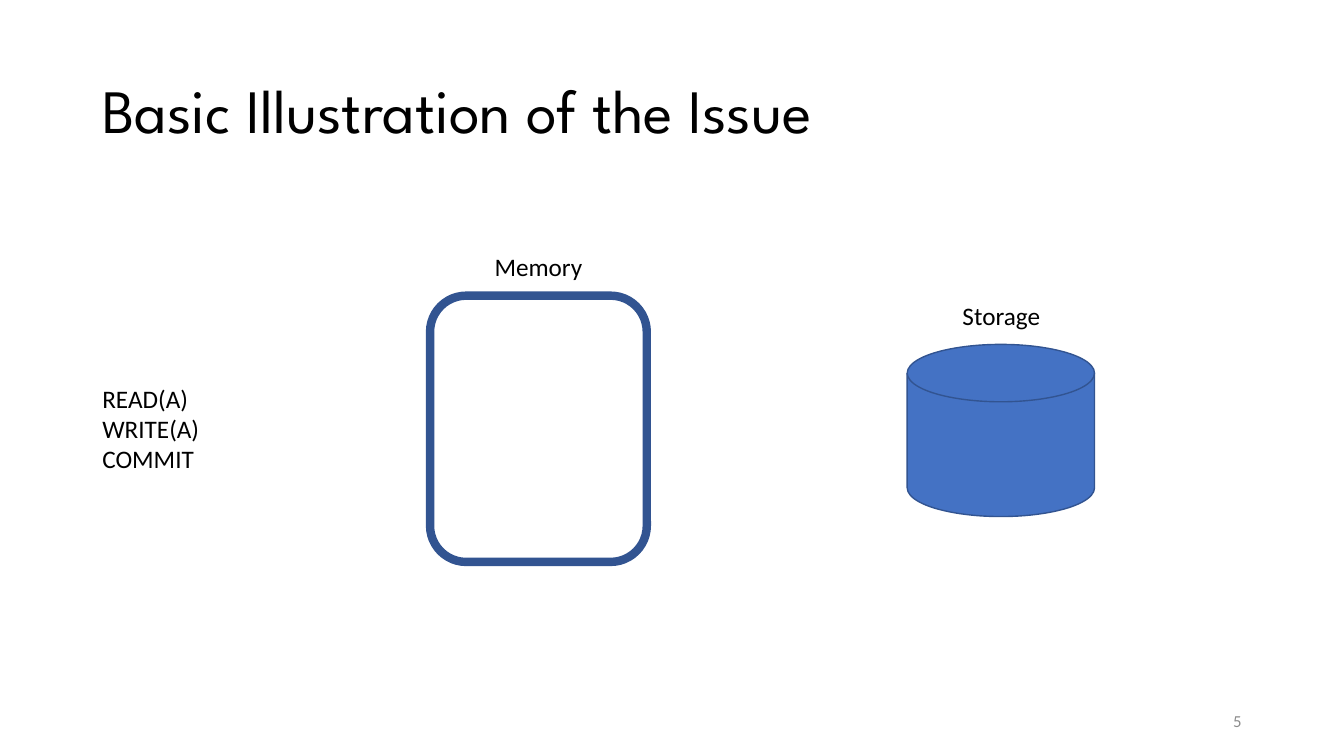
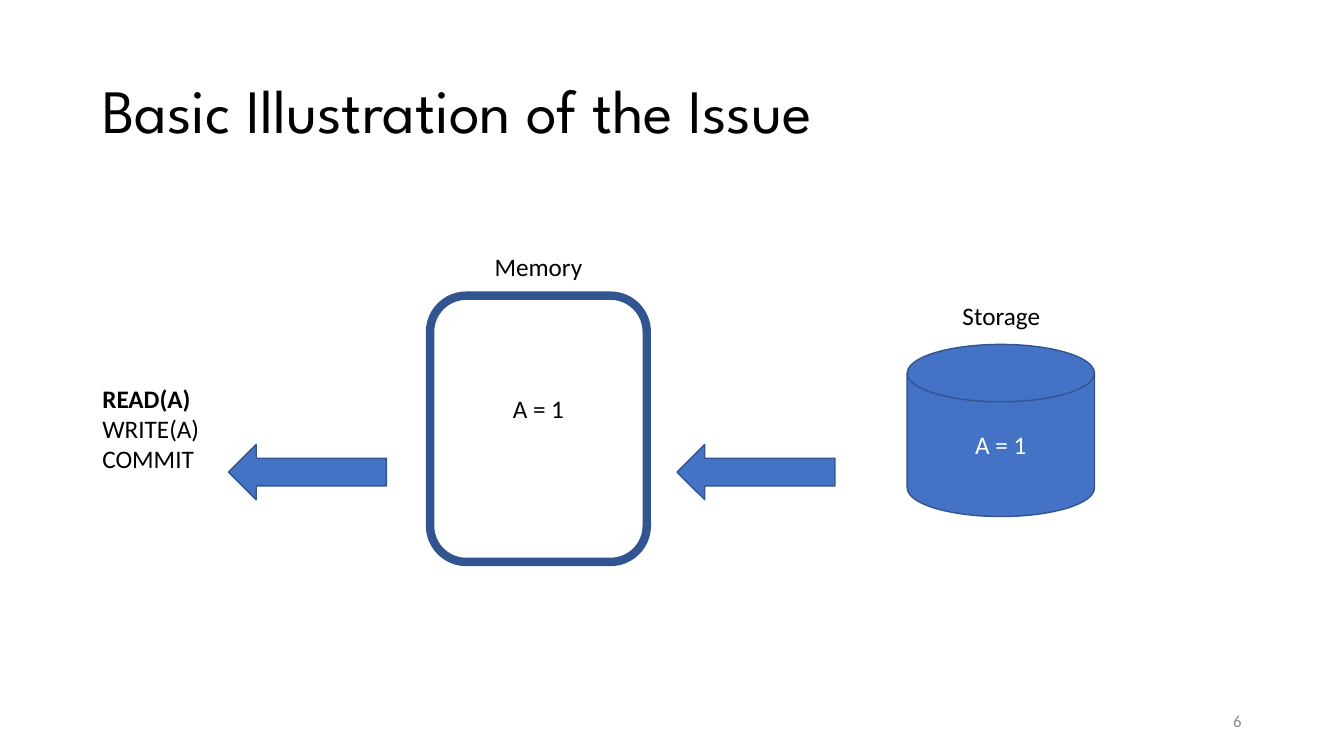
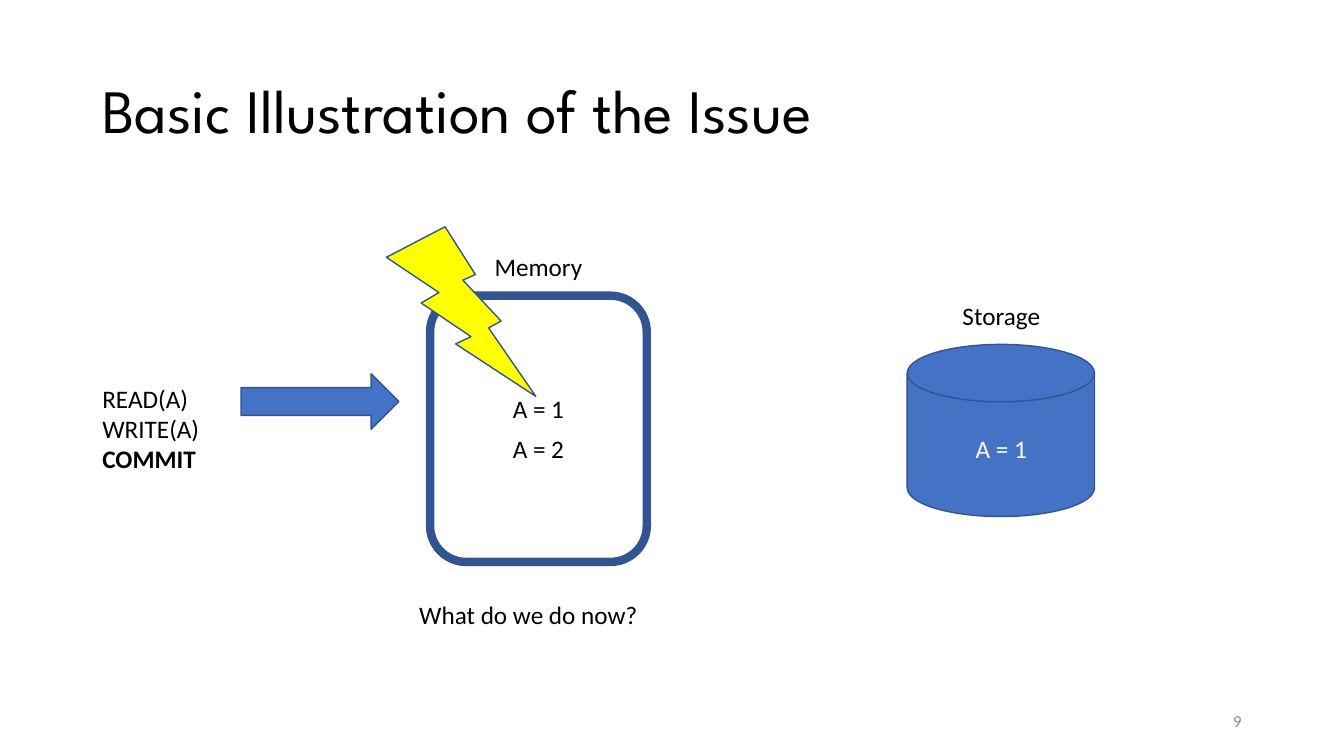
from dataclasses import dataclass
from pptx import Presentation
from pptx.dml.color import RGBColor as Rgb
from pptx.enum.shapes import MSO_SHAPE as Kind
from pptx.enum.text import MSO_ANCHOR as Anchor, MSO_AUTO_SIZE as Fit, PP_ALIGN as Align
from pptx.util import Inches, Pt


@dataclass(frozen=True)
class Theme:
    black: str = "000000"
    white: str = "FFFFFF"
    grey: str = "8C8C8C"
    blue: str = "4472C4"
    navy: str = "325491"
    yellow: str = "FFFF00"
    head: str = "League Spartan"
    body: str = "Calibri"
    big: int = 44
    mid: int = 18
    small: int = 12
    thin: int = 1
    thick: int = 6


class Deck:
    cols, rows = 16, 9

    def __init__(self, theme):
        self.theme = theme
        self.show = Presentation()
        self.show.slide_width = Inches(13.33)
        self.show.slide_height = Inches(7.5)
        self.slide = None

    def place(self, left, top, wide, high):
        col = self.show.slide_width / self.cols
        row = self.show.slide_height / self.rows
        return [round(n) for n in (left * col, top * row, wide * col, high * row)]

    def fill_in(self, frame, lines, size, tint, face=None, align=Align.LEFT, bold=None):
        for at, line in enumerate(lines):
            para = frame.paragraphs[0] if at == 0 else frame.add_paragraph()
            para.alignment = align
            run = para.add_run()
            run.text = line
            run.font.size = Pt(size)
            run.font.name = face or self.theme.body
            run.font.bold = line == bold
            run.font.color.rgb = Rgb.from_string(tint)

    def box(self, spot, wrap):
        frame = self.slide.shapes.add_textbox(*self.place(*spot)).text_frame
        frame.word_wrap = wrap
        if wrap:
            frame.vertical_anchor = Anchor.MIDDLE
        else:
            frame.auto_size = Fit.SHAPE_TO_FIT_TEXT
        return frame

    def page(self, title, number):
        look = self.theme
        self.slide = self.show.slides.add_slide(self.show.slide_layouts[6])
        head = self.box((1.1, 0.48, 13.8, 1.74), True)
        self.fill_in(head, [title], look.big, look.black, look.head)
        head.paragraphs[0].line_spacing = 0.9
        foot = self.box((11.3, 8.34, 3.6, 0.48), True)
        self.fill_in(foot, [str(number)], look.small, look.grey, align=Align.RIGHT)

    def list(self, spot, lines, bold=None):
        look = self.theme
        self.fill_in(self.box(spot, False), lines, look.mid, look.black, bold=bold)

    def label(self, text, mid, top, wide, tint=None):
        look = self.theme
        frame = self.box((mid - wide / 2, top, wide, 0.48), False)
        self.fill_in(frame, [text], look.mid, tint or look.black, align=Align.CENTER)

    def shape(self, kind, spot, fill=None, line=None, text=None, turn=0):
        look = self.theme
        item = self.slide.shapes.add_shape(kind, *self.place(*spot))
        item.shadow.inherit = False
        item.rotation = turn
        if fill:
            item.fill.solid()
            item.fill.fore_color.rgb = Rgb.from_string(fill)
        else:
            item.fill.background()
        item.line.color.rgb = Rgb.from_string(look.navy)
        item.line.width = Pt(line or look.thin)
        if text:
            self.fill_in(item.text_frame, [text], look.mid, look.white, align=Align.CENTER)

    def arrow(self, left, top, turn=0):
        self.shape(Kind.RIGHT_ARROW, (left, top, 1.88, 0.66), self.theme.blue, turn=turn)

    def scene(self, number, bold=None, value=None):
        look = self.theme
        self.page("Basic Illustration of the Issue", number)
        self.list((1.1, 4.5, 1.4, 1.21), ["READ(A)", "WRITE(A)", "COMMIT"], bold)
        self.shape(Kind.ROUNDED_RECTANGLE, (5.12, 3.52, 2.58, 3.17), line=look.thick)
        self.label("Memory", MEM, 2.93, 1.3)
        self.shape(Kind.FLOWCHART_MAGNETIC_DISK, (10.8, 4.1, 2.23, 2.05), look.blue, text=value)
        self.label("Storage", DISK, 3.52, 1.18)


MEM, DISK = 6.41, 11.92
CELL = 0.86


def main():
    theme = Theme()
    deck = Deck(theme)

    deck.scene(5)

    deck.scene(6, "READ(A)", "A = 1")
    for left in (2.72, 8.06):
        deck.arrow(left, 5.29, 180)
    deck.label("A = 1", MEM, 4.62, CELL)

    deck.scene(9, "COMMIT")
    deck.arrow(2.87, 4.45)
    for text, top in (("A = 1", 4.62), ("A = 2", 5.1)):
        deck.label(text, MEM, top, CELL)
    deck.label("A = 1", DISK, 5.1, CELL, theme.white)
    deck.shape(Kind.LIGHTNING_BOLT, (4.6, 2.7, 1.78, 2.02), theme.yellow)
    deck.label("What do we do now?", 6.29, 7.08, 2.87)

    deck.show.save("out.pptx")


if __name__ == "__main__":
    main()
